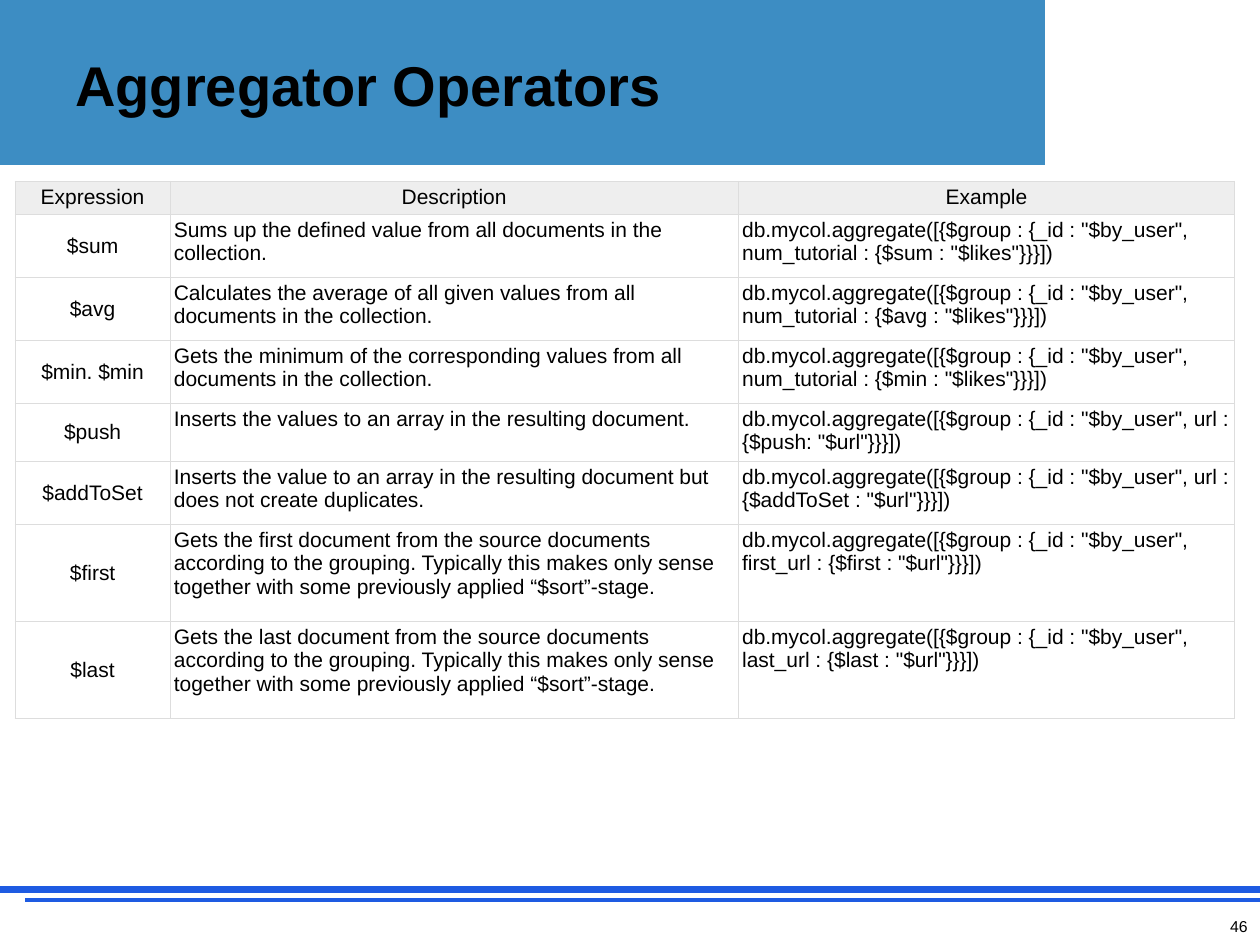
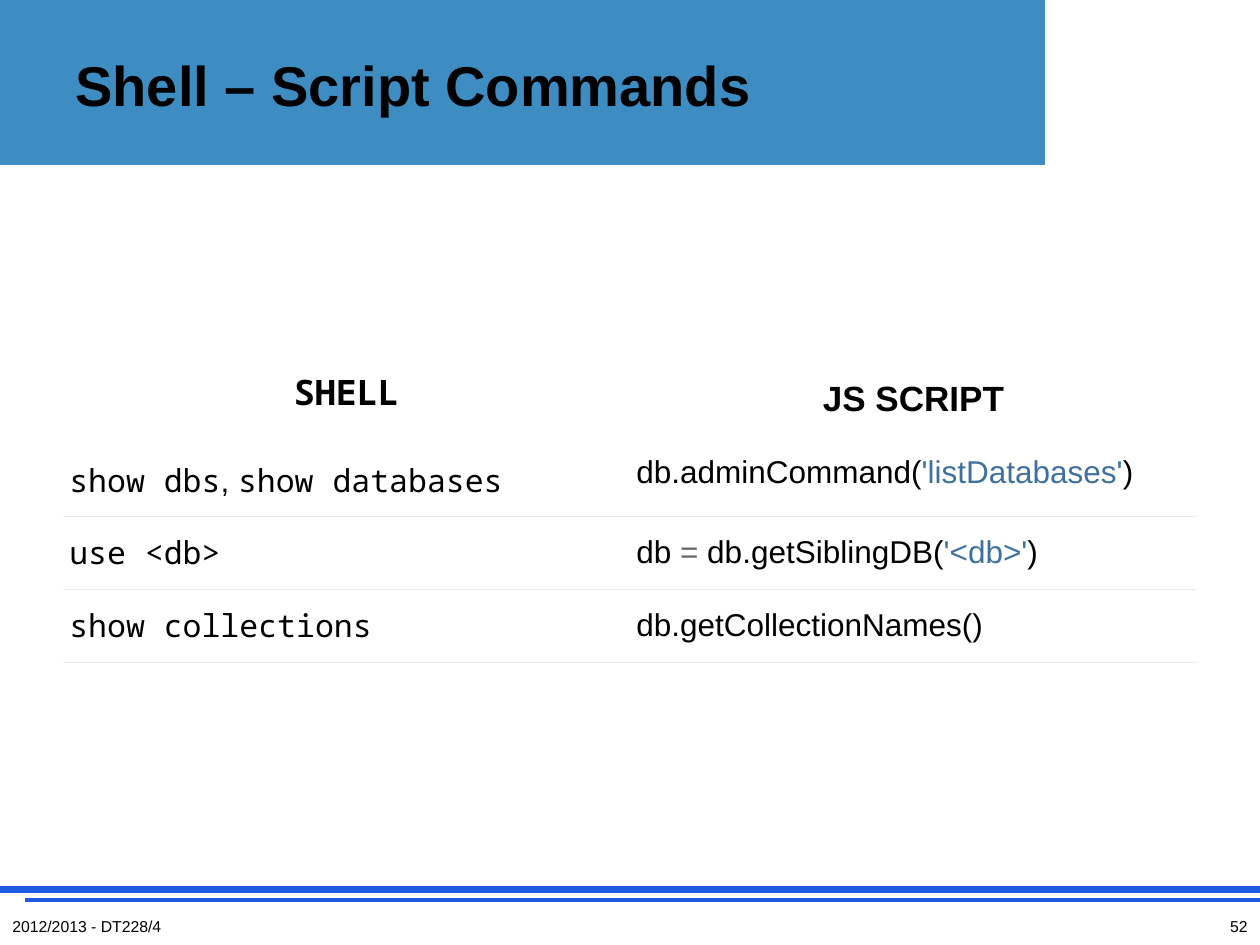
from lxml.etree import SubElement
from pptx import Presentation
from pptx.dml.color import RGBColor
from pptx.enum.shapes import MSO_CONNECTOR, MSO_SHAPE
from pptx.enum.text import MSO_ANCHOR, PP_ALIGN
from pptx.oxml.ns import qn
from pptx.util import Inches, Pt

WIDTH, HEIGHT = 10, 7.5
BAND, RULE, WHITE, BLACK = "3D8DC3", "1E5BE2", "FFFFFF", "000000"
GRID, HEADER, HAIRLINE = "DDDDDD", "EEEEEE", "EBEBED"
STRING, OPERATOR = "4070A0", "666666"
SANS, MONO = "Arial", "Noto Sans Mono"

FOOTER_TOP, FOOTER_WIDTH = 7.23, 2.33

OPERATOR_WIDTHS = [1.23, 4.51, 3.94]
OPERATOR_HEIGHTS = [0.23, 0.5, 0.5, 0.5, 0.41, 0.5, 0.77, 0.77]
STAGE_NOTE = ("document from the source documents according to the grouping. Typically this "
              "makes only sense together with some previously applied “$sort”-stage.")
# Operator, description, field computed inside $group
OPERATORS = [
    ("$sum", "Sums up the defined value from all documents in the collection.",
     'num_tutorial : {$sum : "$likes"}'),
    ("$avg", "Calculates the average of all given values from all documents in the collection.",
     'num_tutorial : {$avg : "$likes"}'),
    ("$min. $min",
     "Gets the minimum of the corresponding values from all documents in the collection.",
     'num_tutorial : {$min : "$likes"}'),
    ("$push", "Inserts the values to an array in the resulting document.",
     'url : {$push: "$url"}'),
    ("$addToSet",
     "Inserts the value to an array in the resulting document but does not create duplicates.",
     'url : {$addToSet : "$url"}'),
    ("$first", f"Gets the first {STAGE_NOTE}", 'first_url : {$first : "$url"}'),
    ("$last", f"Gets the last {STAGE_NOTE}", 'last_url : {$last : "$url"}'),
]

COMMAND_HEIGHTS = [1.29, 0.58, 0.58]
# Column heading, its font, space below it in points
COMMAND_HEADS = [("SHELL", MONO, 24.5), ("JS SCRIPT", SANS, 20.7)]
# Shell command and script equivalent, as runs of (text, font, colour)
COMMANDS = [
    ([("show dbs", MONO, BLACK), (", ", SANS, BLACK), ("show databases", MONO, BLACK)],
     [("db.adminCommand(", SANS, BLACK), ("'listDatabases'", SANS, STRING), (")", SANS, BLACK)]),
    ([("use <db>", MONO, BLACK)],
     [("db ", SANS, BLACK), ("=", SANS, OPERATOR), (" db.getSiblingDB(", SANS, BLACK),
      ("'<db>'", SANS, STRING), (")", SANS, BLACK)]),
    ([("show collections", MONO, BLACK)], [("db.getCollectionNames()", SANS, BLACK)]),
]


def rgb(value):
    return RGBColor.from_string(value)


def style(font, size, name=SANS, color=BLACK, bold=False):
    font.size, font.name, font.bold = Pt(size), name, bold
    font.color.rgb = rgb(color)


def add_block(slide, left, top, width, height, color, outline=0):
    block = slide.shapes.add_shape(MSO_SHAPE.RECTANGLE, Inches(left), Inches(top),
                                   Inches(width), Inches(height))
    block.shadow.inherit = False
    block.fill.solid()
    block.fill.fore_color.rgb = rgb(color)
    if outline:
        block.line.color.rgb = rgb(color)
        block.line.width = Pt(outline)
    else:
        block.line.fill.background()


def add_rule(slide, left, y, weight):
    rule = slide.shapes.add_connector(MSO_CONNECTOR.STRAIGHT, Inches(left), Inches(y),
                                      Inches(WIDTH), Inches(y))
    rule.line.color.rgb = rgb(RULE)
    rule.line.width = Pt(weight)
    SubElement(rule._element.spPr, qn("a:effectLst"))


def add_label(slide, text, left, top, width, height, size, bold=False,
              align=PP_ALIGN.LEFT, anchor=MSO_ANCHOR.TOP):
    frame = slide.shapes.add_textbox(Inches(left), Inches(top), Inches(width),
                                     Inches(height)).text_frame
    frame.word_wrap = True
    frame.vertical_anchor = anchor
    frame.text = text
    frame.paragraphs[0].alignment = align
    style(frame.paragraphs[0].runs[0].font, size, bold=bold)


def add_page(deck, title, number, course=None):
    """Slide with the shared title band, rules and footer."""
    slide = deck.slides.add_slide(deck.slide_layouts[6])
    add_block(slide, 0, 0, WIDTH, 1.31, BAND)
    add_rule(slide, 0, 7.06, 4.5)
    add_rule(slide, 0.2, 7.14, 2.25)
    add_block(slide, 8.31, 0, WIDTH - 8.31, 1.39, WHITE, outline=2)
    add_label(slide, title, 0.5, 0.13, 6.86, 1.08, 32, bold=True, anchor=MSO_ANCHOR.MIDDLE)
    footer = (FOOTER_TOP, FOOTER_WIDTH, HEIGHT - FOOTER_TOP, 9)
    if course:
        add_label(slide, course, 0, *footer)
    add_label(slide, str(number), WIDTH - FOOTER_WIDTH, *footer, align=PP_ALIGN.RIGHT)
    return slide


def add_grid(slide, left, top, widths, heights):
    grid = slide.shapes.add_table(len(heights), len(widths), Inches(left), Inches(top),
                                  Inches(sum(widths)), Inches(sum(heights))).table
    grid.first_row = grid.horz_banding = False
    for column, width in zip(grid.columns, widths):
        column.width = Inches(width)
    for row, height in zip(grid.rows, heights):
        row.height = Inches(height)
    return grid


def format_cell(cell, fill, border, sides, margins, anchor):
    """Draw the given sides of the cell and leave the others without a line."""
    properties = cell._tc.get_or_add_tcPr()
    for side in "LRTB":
        line = SubElement(properties, qn(f"a:ln{side}"), w=str(Pt(0.75)))
        if side in sides:
            solid = SubElement(line, qn("a:solidFill"))
            SubElement(solid, qn("a:srgbClr"), val=border)
        else:
            SubElement(line, qn("a:noFill"))
    cell.fill.solid()
    cell.fill.fore_color.rgb = rgb(fill)
    (cell.margin_left, cell.margin_top,
     cell.margin_right, cell.margin_bottom) = map(Inches, margins)
    cell.vertical_anchor = anchor


def add_operator_table(slide):
    grid = add_grid(slide, 0.12, 1.44, OPERATOR_WIDTHS, OPERATOR_HEIGHTS)
    rows = [("Expression", "Description", "Example")]
    for operator, description, field in OPERATORS:
        example = 'db.mycol.aggregate([{$group : {_id : "$by_user", ' + field + "}}])"
        rows.append((operator, description, example))
    for r, row in enumerate(rows):
        for c, text in enumerate(row):
            cell = grid.cell(r, c)
            anchor = MSO_ANCHOR.MIDDLE if r and c == 0 else MSO_ANCHOR.TOP
            format_cell(cell, WHITE if r else HEADER, GRID, "LRTB", [0.03] * 4, anchor)
            cell.text_frame.text = text
            paragraph = cell.text_frame.paragraphs[0]
            paragraph.alignment = PP_ALIGN.CENTER if r == 0 or c == 0 else PP_ALIGN.LEFT
            style(paragraph.runs[0].font, 12)


def add_command_table(slide):
    grid = add_grid(slide, 0.5, 2.81, [WIDTH * 0.45] * 2, COMMAND_HEIGHTS)
    for r, row in enumerate(COMMANDS):
        for c, runs in enumerate(row):
            cell = grid.cell(r, c)
            format_cell(cell, WHITE, HAIRLINE, "TB" if r else "B",
                        (0.05, 0.11, 0.05, 0.12), MSO_ANCHOR.MIDDLE)
            frame = cell.text_frame
            command = frame.paragraphs[0]
            # The first row carries the column headings too
            if r == 0:
                heading, font_name, gap = COMMAND_HEADS[c]
                command.text = heading
                command.alignment = PP_ALIGN.CENTER
                style(command.runs[0].font, 20, font_name, bold=True)
                command = frame.add_paragraph()
                command.space_before = Pt(gap)
            for text, font_name, color in runs:
                run = command.add_run()
                run.text = text
                style(run.font, 18, font_name, color)


def main():
    deck = Presentation()
    deck.slide_width, deck.slide_height = Inches(WIDTH), Inches(HEIGHT)
    add_operator_table(add_page(deck, "Aggregator Operators", 46))
    add_command_table(add_page(deck, "Shell – Script Commands", 52, "2012/2013 - DT228/4"))
    deck.save("out.pptx")


if __name__ == "__main__":
    main()
